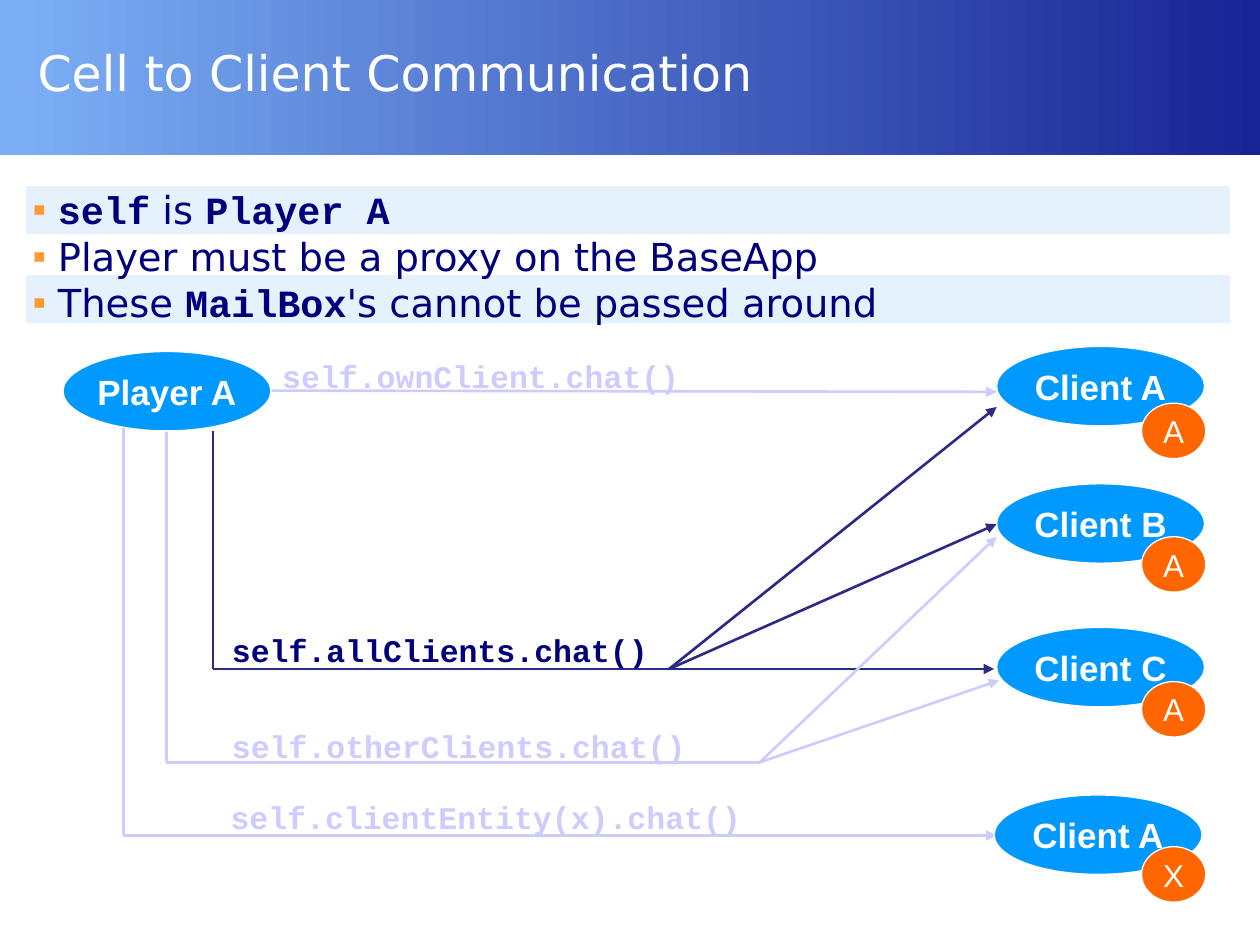
from dataclasses import dataclass

from lxml import etree
from pptx import Presentation
from pptx.dml.color import RGBColor
from pptx.enum.shapes import MSO_CONNECTOR, MSO_SHAPE
from pptx.enum.text import MSO_ANCHOR, MSO_AUTO_SIZE, PP_ALIGN
from pptx.oxml.ns import qn
from pptx.util import Inches, Pt

RECT, OVAL = MSO_SHAPE.RECTANGLE, MSO_SHAPE.OVAL
LINE = MSO_CONNECTOR.STRAIGHT
MIDDLE, TOP = MSO_ANCHOR.MIDDLE, MSO_ANCHOR.TOP
CENTER, LEFT = PP_ALIGN.CENTER, PP_ALIGN.LEFT
GROW = MSO_AUTO_SIZE.SHAPE_TO_FIT_TEXT


@dataclass(frozen=True)
class Theme:
    white: str = "FFFFFF"
    dark: str = "182494"
    light: str = "7CB0F6"
    band: str = "E6F1FE"
    text: str = "00007D"
    bullet: str = "FF9933"
    pale: str = "CCCCFF"
    strong: str = "2B2B85"
    node: str = "0099FF"
    badge: str = "FF6600"
    sans: str = "DejaVu Sans"
    mono: str = "Courier New"
    arial: str = "Arial"
    title_size: int = 28
    body_size: int = 22
    node_size: int = 20
    code_size: int = 18


THEME = Theme()

BULLETS = [
    [("self", True), (" is ", False), ("Player A", True)],
    [("Player must be a proxy on the BaseApp", False)],
    [("These ", False), ("MailBox", True), ("'s cannot be passed around", False)],
]
ROUTES = [
    ([(1.32, 3.42), (1.32, 6.05), (6.03, 6.05)], THEME.pale, False),
    ([(1.69, 3.42), (1.69, 5.31), (5.31, 5.31)], THEME.strong, False),
    ([(5.31, 5.31), (7.91, 3.23)], THEME.strong, True),
    ([(5.31, 5.31), (7.91, 4.16)], THEME.strong, True),
    ([(5.31, 5.31), (7.89, 5.31)], THEME.strong, True),
    ([(6.03, 6.05), (7.91, 4.26)], THEME.pale, True),
    ([(6.03, 6.05), (7.93, 5.4)], THEME.pale, True),
    ([(0.98, 3.36), (0.98, 6.63), (7.91, 6.63)], THEME.pale, True),
    ([(2.15, 3.1), (7.91, 3.11)], THEME.pale, True),
]
CALLS = [
    ("self.ownClient.chat()", 2.24, 2.83, 3.17, THEME.pale),
    ("self.otherClients.chat()", 1.84, 5.77, 3.62, THEME.pale),
    ("self.allClients.chat()", 1.84, 5.01, 3.32, THEME.text),
    ("self.clientEntity(x).chat()", 1.83, 6.33, 4.07, THEME.pale),
]
NODES = [
    ("Player A", 0.5, 2.79),
    ("Client A", 7.91, 2.75),
    ("Client B", 7.91, 3.84),
    ("Client C", 7.91, 4.98),
    ("Client A", 7.89, 6.31),
]
BADGES = [("A", 3.2), ("A", 4.26), ("A", 5.41), ("X", 6.72)]


def rgb(color):
    return RGBColor.from_string(color)


def add_run(para, text, font, size, color, bold=False):
    run = para.add_run()
    run.text = text
    look = {"name": font, "size": Pt(size), "bold": bold}
    for key, value in look.items():
        setattr(run.font, key, value)
    run.font.color.rgb = rgb(color)


def set_frame(frame, insets, anchor=TOP, wrap=True):
    sides = ("margin_left", "margin_top", "margin_right", "margin_bottom")
    look = dict(zip(sides, map(Inches, insets)))
    look.update(vertical_anchor=anchor, word_wrap=wrap)
    for key, value in look.items():
        setattr(frame, key, value)


def add_box(slide, area, insets, anchor=TOP, wrap=True):
    frame = slide.shapes.add_textbox(*map(Inches, area)).text_frame
    set_frame(frame, insets, anchor, wrap)
    return frame


def add_block(slide, kind, area, fill):
    shape = slide.shapes.add_shape(kind, *map(Inches, area))
    shape.shadow.inherit = False
    shape.fill.solid()
    shape.fill.fore_color.rgb = rgb(fill)
    shape.line.color.rgb = rgb(THEME.white)
    shape.line.width = Pt(0.75)
    return shape


def add_oval(slide, text, area, fill, size, bold):
    frame = add_block(slide, OVAL, area, fill).text_frame
    set_frame(frame, (0.1, 0.05, 0.1, 0.05), MIDDLE, False)
    para = frame.paragraphs[0]
    para.alignment = CENTER
    add_run(para, text, THEME.arial, size, THEME.white, bold)


def add_banner(slide):
    shape = add_block(slide, RECT, (0, 0, 10, 1.23), THEME.dark)
    shape.line.fill.background()
    shape.fill.gradient()
    shape.fill.gradient_angle = 0
    for stop, color in zip(shape.fill.gradient_stops, (THEME.light, THEME.dark)):
        stop.color.rgb = rgb(color)


def add_title(slide, text):
    frame = add_box(slide, (0.2, 0, 9.57, 1.15), (0.1, 0.04, 0.1, 0.05), MIDDLE)
    add_run(frame.paragraphs[0], text, THEME.sans, THEME.title_size, THEME.white)


def set_bullet(para):
    props = para._p.get_or_add_pPr()
    props.set("marL", str(Inches(0.2)))
    props.set("indent", str(-Inches(0.2)))
    tint = etree.SubElement(props, qn("a:buClr"))
    etree.SubElement(tint, qn("a:srgbClr"), val=THEME.bullet)
    etree.SubElement(props, qn("a:buFont"), typeface=THEME.arial)
    etree.SubElement(props, qn("a:buChar"), char="▪")


def add_list(slide, items):
    frame = add_box(slide, (0.2, 1.47, 9.57, 1.06), (0.06, 0.01, 0, 0))
    for i, parts in enumerate(items):
        para = frame.add_paragraph() if i else frame.paragraphs[0]
        para.alignment = LEFT
        set_bullet(para)
        for text, code in parts:
            font = THEME.mono if code else THEME.sans
            add_run(para, text, font, THEME.body_size, THEME.text, code)


def add_route(slide, points, color, arrow):
    for start, end in zip(points, points[1:]):
        link = slide.shapes.add_connector(LINE, *map(Inches, start + end))
        link.line.color.rgb = rgb(color)
        link.line.width = Pt(1.5)
        if arrow and end == points[-1]:
            ln = link.line._get_or_add_ln()
            etree.SubElement(ln, qn("a:tailEnd"), type="triangle")
        etree.SubElement(link._element.spPr, qn("a:effectLst"))


def add_call(slide, text, left, top, width, color):
    frame = add_box(slide, (left, top, width, 0.3), (0, 0, 0, 0), wrap=False)
    frame.auto_size = GROW
    add_run(frame.paragraphs[0], text, THEME.mono, THEME.code_size, color, True)


def main():
    deck = Presentation()
    deck.slide_width, deck.slide_height = Inches(10), Inches(7.5)
    slide = deck.slides.add_slide(deck.slide_layouts[6])
    add_banner(slide)
    for top in (1.47, 2.18):
        add_block(slide, RECT, (0.2, top, 9.57, 0.39), THEME.band)
    add_title(slide, "Cell to Client Communication")
    add_list(slide, BULLETS)
    for route in ROUTES:
        add_route(slide, *route)
    for call in CALLS:
        add_call(slide, *call)
    for name, left, top in NODES:
        area = (left, top, 1.65, 0.63)
        add_oval(slide, name, area, THEME.node, THEME.node_size, True)
    for name, top in BADGES:
        area = (9.06, top, 0.51, 0.44)
        add_oval(slide, name, area, THEME.badge, THEME.code_size, False)
    deck.save("out.pptx")


if __name__ == "__main__":
    main()
